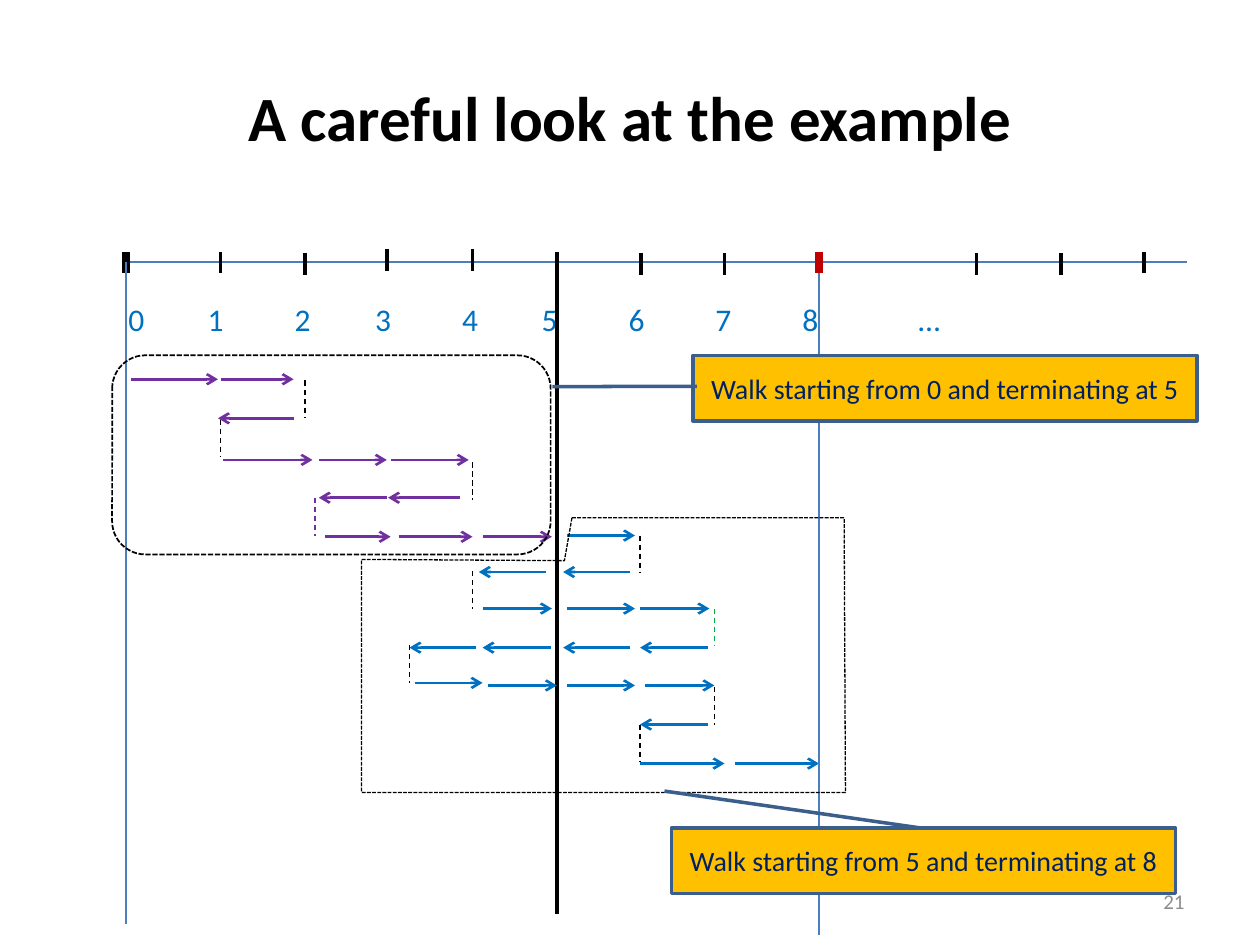
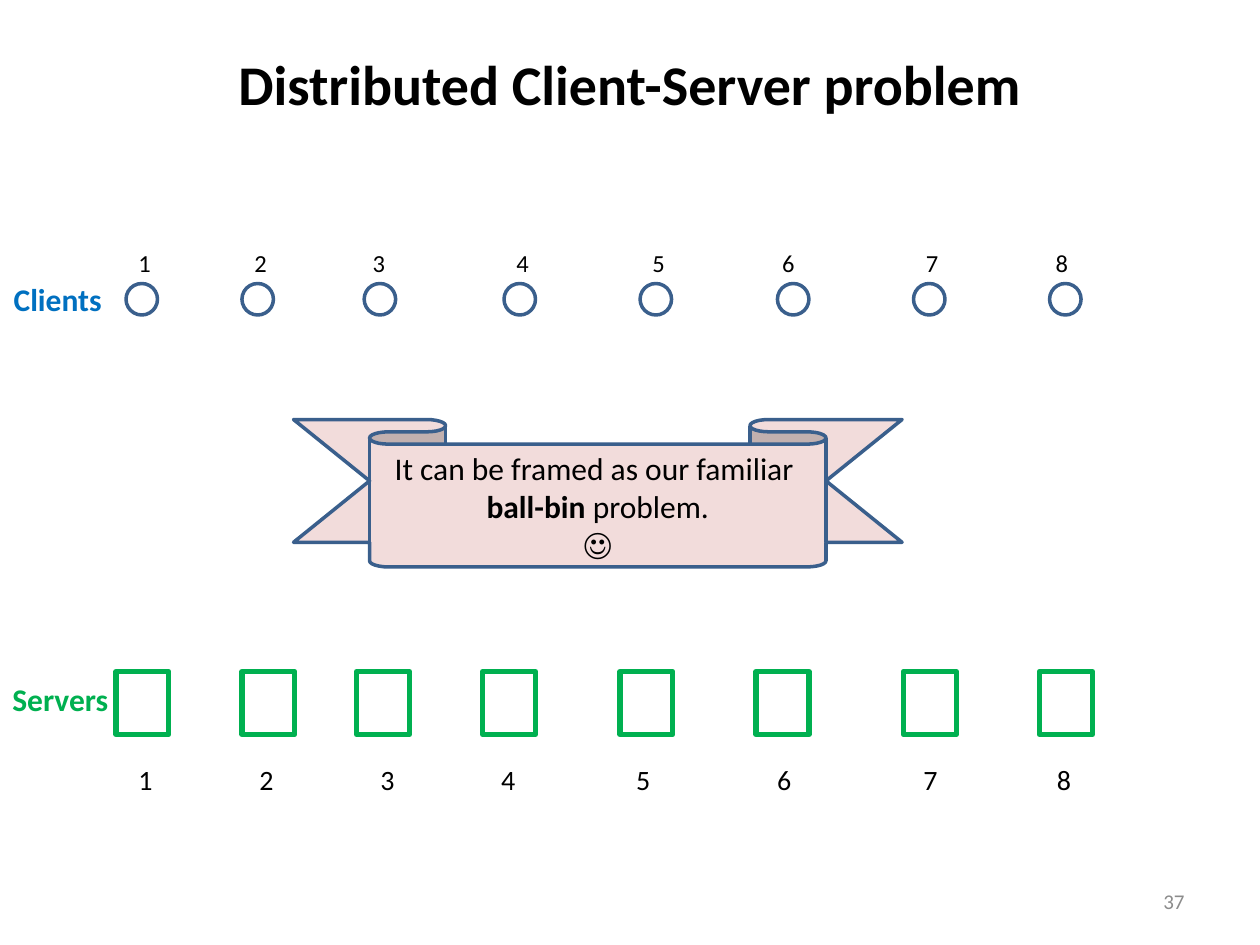
from typing import NamedTuple, Optional, Sequence

from lxml.etree import SubElement
from pptx import Presentation
from pptx.dml.color import RGBColor
from pptx.enum.dml import MSO_LINE as Dash
from pptx.enum.shapes import MSO_CONNECTOR as Conn, MSO_SHAPE as Preset
from pptx.enum.text import MSO_ANCHOR as Anchor, PP_ALIGN as Align
from pptx.oxml.ns import qn
from pptx.util import Inches, Pt

# Shared style
FONT = "Calibri"
BLACK, GRAY, RED, GREEN = "000000", "8C8C8C", "C00000", "00B050"
BLUE, PURPLE, NAVY = "0070C0", "7030A0", "002060"
AXIS, OUTLINE, GOLD, PINK = "4B7EBC", "3A5F8C", "FFC000", "F2DCDB"


class Box(NamedTuple):
    left: float
    top: float
    width: float
    height: float


class TextStyle(NamedTuple):
    size: float
    color: str = BLACK
    bold: bool = False
    align: Align = Align.LEFT


class Stroke(NamedTuple):
    color: str
    width: float
    dash: Optional[Dash] = None
    arrow: bool = False


class Tick(NamedTuple):
    x: float
    top: float


class WalkRow(NamedTuple):
    y: float
    color: str
    steps: Sequence[tuple[float, float]]


class Turn(NamedTuple):
    x: float
    top: float
    color: str = BLACK


class Callout(NamedTuple):
    text: str
    box: Box
    leader: Sequence[float]


class Client(NamedTuple):
    x: float
    label_x: float


TITLE_BOX = Box(0.5, 0.3, 9, 1.25)
NUMBER_BOX = Box(7.17, 6.95, 2.33, 0.4)
BORDER = Stroke(OUTLINE, 2)


# Drawing helpers
def rgb(color: str) -> RGBColor:
    return RGBColor.from_string(color)


def inches(values: Sequence[float]) -> list[int]:
    return [Inches(value) for value in values]


def apply_stroke(line, stroke: Stroke) -> None:
    line.color.rgb = rgb(stroke.color)
    line.width = Pt(stroke.width)
    if stroke.dash is not None:
        line.dash_style = stroke.dash


def format_paragraph(paragraph, style: TextStyle) -> None:
    paragraph.alignment = style.align
    for run in paragraph.runs:
        run.font.name = FONT
        run.font.size = Pt(style.size)
        run.font.bold = style.bold
        run.font.color.rgb = rgb(style.color)


def add_text(slide, text: str, box: Box, style: TextStyle,
             anchor: Anchor = Anchor.TOP, wrap: bool = True):
    frame = slide.shapes.add_textbox(*inches(box)).text_frame
    frame.word_wrap = wrap
    frame.vertical_anchor = anchor
    frame.text = text
    format_paragraph(frame.paragraphs[0], style)
    return frame


def add_tabbed_labels(slide, labels: Sequence[str], box: Box, style: TextStyle,
                      stops: Sequence[float]) -> None:
    frame = add_text(slide, "\t".join(labels), box, style)
    properties = frame.paragraphs[0]._p.get_or_add_pPr()
    tab_list = SubElement(properties, qn("a:tabLst"))
    for stop in stops:
        SubElement(tab_list, qn("a:tab"), pos=str(Inches(stop)), algn="l")


def add_line(slide, x1: float, y1: float, x2: float, y2: float, stroke: Stroke) -> None:
    connector = slide.shapes.add_connector(Conn.STRAIGHT, *inches((x1, y1, x2, y2)))
    apply_stroke(connector.line, stroke)
    if stroke.arrow:
        SubElement(connector.line._get_or_add_ln(), qn("a:tailEnd"), type="arrow")
    SubElement(connector._element.spPr, qn("a:effectLst"))


def style_shape(shape, stroke: Stroke, fill: Optional[str] = None) -> None:
    shape.shadow.inherit = False
    apply_stroke(shape.line, stroke)
    if fill:
        shape.fill.solid()
        shape.fill.fore_color.rgb = rgb(fill)
    else:
        shape.fill.background()


def add_preset(slide, preset: Preset, box: Box, stroke: Stroke,
               fill: Optional[str] = None, adjustments: Sequence[float] = ()):
    shape = slide.shapes.add_shape(preset, *inches(box))
    style_shape(shape, stroke, fill)
    for index, value in enumerate(adjustments):
        shape.adjustments[index] = value
    return shape


def start_slide(deck, title: str, title_size: float, number: int):
    slide = deck.slides.add_slide(deck.slide_layouts[6])
    heading = add_text(slide, title, TITLE_BOX,
                       TextStyle(title_size, bold=True, align=Align.CENTER), Anchor.MIDDLE)
    add_text(slide, str(number), NUMBER_BOX,
             TextStyle(12, GRAY, align=Align.RIGHT), Anchor.MIDDLE)
    return slide, heading


# Random walk content
TICKS = [Tick(1.75, 2), Tick(2.42, 2.01), Tick(3.07, 1.98), Tick(3.75, 1.98),
         Tick(4.42, 2.01), Tick(5.09, 2.01), Tick(5.75, 2.01), Tick(7.75, 2.01),
         Tick(8.42, 2.01), Tick(9.08, 2)]
AXIS_LABELS = [*map(str, range(9)), "…"]
AXIS_STOPS = [0.63, 1.32, 1.96, 2.65, 3.28, 3.97, 4.66, 5.35, 6.27]

WALK_ROWS = [
    WalkRow(3.01, PURPLE, [(1.04, 1.73), (1.75, 2.33)]),
    WalkRow(3.32, PURPLE, [(2.33, 1.73)]),
    WalkRow(3.65, PURPLE, [(1.77, 2.48), (2.53, 3.07), (3.1, 3.72)]),
    WalkRow(3.95, PURPLE, [(3.65, 3.08), (3.07, 2.53)]),
    WalkRow(4.26, PURPLE, [(2.58, 3.1), (3.17, 3.75), (3.83, 4.38)]),
    WalkRow(4.25, BLUE, [(4.5, 5.04)]),
    WalkRow(4.54, BLUE, [(5, 4.47), (4.33, 3.8)]),
    WalkRow(4.83, BLUE, [(3.83, 4.38), (4.5, 5.04), (5.08, 5.63)]),
    WalkRow(5.14, BLUE, [(5.62, 5.08), (5, 4.47), (4.37, 3.83), (3.78, 3.25)]),
    WalkRow(5.42, BLUE, [(3.29, 3.83)]),
    WalkRow(5.44, BLUE, [(3.87, 4.42), (4.5, 5.04), (5.12, 5.67)]),
    WalkRow(5.75, BLUE, [(5.62, 5.08)]),
    WalkRow(6.06, BLUE, [(5.08, 5.75), (5.83, 6.5)]),
]
TURNS = [Turn(2.42, 3.02), Turn(1.75, 3.33), Turn(3.75, 3.67), Turn(2.5, 3.95, PURPLE),
         Turn(5.08, 4.25), Turn(3.75, 4.53), Turn(5.67, 4.83, GREEN), Turn(3.25, 5.12),
         Turn(5.67, 5.45), Turn(5.08, 5.75)]
TURN_HEIGHT = 0.3
SECOND_WALK_OUTLINE = [(4.54, 4.11), (6.7, 4.11), (6.71, 6.29), (2.87, 6.29),
                       (2.87, 4.44), (4.48, 4.45)]
CALLOUTS = [
    Callout("Walk starting from 0 and terminating at 5", Box(5.5, 2.82, 4, 0.52),
            (0.473, 0.008, 0.478, -0.279)),
    Callout("Walk starting from 5 and terminating at 8", Box(5.33, 6.57, 4, 0.52),
            (0.001, 0.493, -0.561, -0.014)),
]


def build_walk_slide(deck) -> None:
    slide, _ = start_slide(deck, "A careful look at the example", 36, 21)

    # Number line
    add_line(slide, 1, 2.08, 9.42, 2.08, Stroke(AXIS, 1.5))
    for tick in TICKS:
        add_line(slide, tick.x, tick.top, tick.x, tick.top + 0.17, Stroke(BLACK, 2.25))
    for end_x, color in ((1, BLACK), (6.5, RED)):
        add_line(slide, end_x, 2, end_x, 2.17, Stroke(color, 4.5))
    add_tabbed_labels(slide, AXIS_LABELS, Box(0.92, 2.33, 7.86, 0.4),
                      TextStyle(18, BLUE), AXIS_STOPS)
    add_line(slide, 4.42, 2, 4.42, 7.25, Stroke(BLACK, 2.25))

    # Steps and turns of the walk
    for row in WALK_ROWS:
        for start, end in row.steps:
            add_line(slide, start, row.y, end, row.y, Stroke(row.color, 1.5, arrow=True))
    for turn in TURNS:
        add_line(slide, turn.x, turn.top, turn.x, turn.top + TURN_HEIGHT,
                 Stroke(turn.color, 0.75, Dash.DASH))
    for guide_x, top in ((6.5, 2.17), (1, 2.08)):
        add_line(slide, guide_x, top, guide_x, top + 5.25, Stroke(AXIS, 0.75))

    # Outlines of the two walks
    first, *rest = [inches(point) for point in SECOND_WALK_OUTLINE]
    builder = slide.shapes.build_freeform(*first)
    builder.add_line_segments(rest, close=True)
    style_shape(builder.convert_to_shape(), Stroke(BLACK, 0.75, Dash.SQUARE_DOT))
    add_preset(slide, Preset.ROUNDED_RECTANGLE, Box(0.89, 2.82, 3.48, 1.58),
               Stroke(BLACK, 1, Dash.SQUARE_DOT))

    for callout in CALLOUTS:
        note = add_preset(slide, Preset.LINE_CALLOUT_1, callout.box, BORDER, GOLD,
                          callout.leader)
        note.text_frame.text = callout.text
        format_paragraph(note.text_frame.paragraphs[0],
                         TextStyle(16, NAVY, align=Align.CENTER))


# Client-server content
CLIENTS = [Client(1, 1), Client(1.92, 1.92), Client(2.89, 2.86), Client(4, 4),
           Client(5.08, 5.08), Client(6.17, 6.11), Client(7.25, 7.25), Client(8.33, 8.28)]
SERVER_XS = [0.92, 1.92, 2.83, 3.83, 4.92, 6, 7.17, 8.25]
SERVER_TOP, SERVER_WIDTH, SERVER_HEIGHT = 5.33, 0.42, 0.5
SERVER_STOPS = [0.96, 1.92, 2.88, 3.95, 5.07, 6.23, 7.29]


def add_bin(slide, left: float) -> None:
    """Draw the two sides and the floor of a server bin."""
    right, floor = left + SERVER_WIDTH, SERVER_TOP + SERVER_HEIGHT
    wall = Stroke(GREEN, 2.25)
    for side in (left, right):
        add_line(slide, side, SERVER_TOP, side, floor, wall)
    add_line(slide, left, floor, right, floor, wall)


def build_server_slide(deck) -> None:
    slide, heading = start_slide(deck, "Distributed Client-Server problem", 32, 37)
    heading.margin_bottom = Inches(0.58)

    # Clients
    for number, client in enumerate(CLIENTS, 1):
        add_preset(slide, Preset.OVAL, Box(client.x, 2.25, 0.25, 0.25), BORDER)
        add_text(slide, str(number), Box(client.label_x, 1.92, 0.3, 0.34),
                 TextStyle(14), wrap=False)
    add_text(slide, "Clients", Box(0.01, 2.17, 0.9, 0.4),
             TextStyle(18, BLUE, bold=True), wrap=False)

    # Servers
    for server_x in SERVER_XS:
        add_bin(slide, server_x)
    server_numbers = [str(number) for number in range(1, len(SERVER_XS) + 1)]
    add_tabbed_labels(slide, server_numbers, Box(1, 6, 7.67, 0.37),
                      TextStyle(16), SERVER_STOPS)
    for server_x in SERVER_XS:
        add_preset(slide, Preset.RECTANGLE,
                   Box(server_x, SERVER_TOP, SERVER_WIDTH, SERVER_HEIGHT), Stroke(GREEN, 3))
    add_text(slide, "Servers", Box(0, 5.35, 0.97, 0.4),
             TextStyle(18, GREEN, bold=True), wrap=False)

    # Ribbon
    ribbon = add_preset(slide, Preset.DOWN_RIBBON, Box(2.33, 3.33, 4.83, 1.17),
                        BORDER, PINK, (0.167, 0.75))
    message = ribbon.text_frame
    message.text = "It can be framed as our familiar \n\n☺"
    framed, problem, smile = message.paragraphs
    for part in ("ball-bin", " problem."):
        problem.add_run().text = part
    for paragraph in (framed, problem, smile):
        format_paragraph(paragraph, TextStyle(18, align=Align.CENTER))
    problem.runs[0].font.bold = True


def main() -> None:
    deck = Presentation()
    deck.slide_width, deck.slide_height = Inches(10), Inches(7.5)
    build_walk_slide(deck)
    build_server_slide(deck)
    deck.save("out.pptx")


if __name__ == "__main__":
    main()
